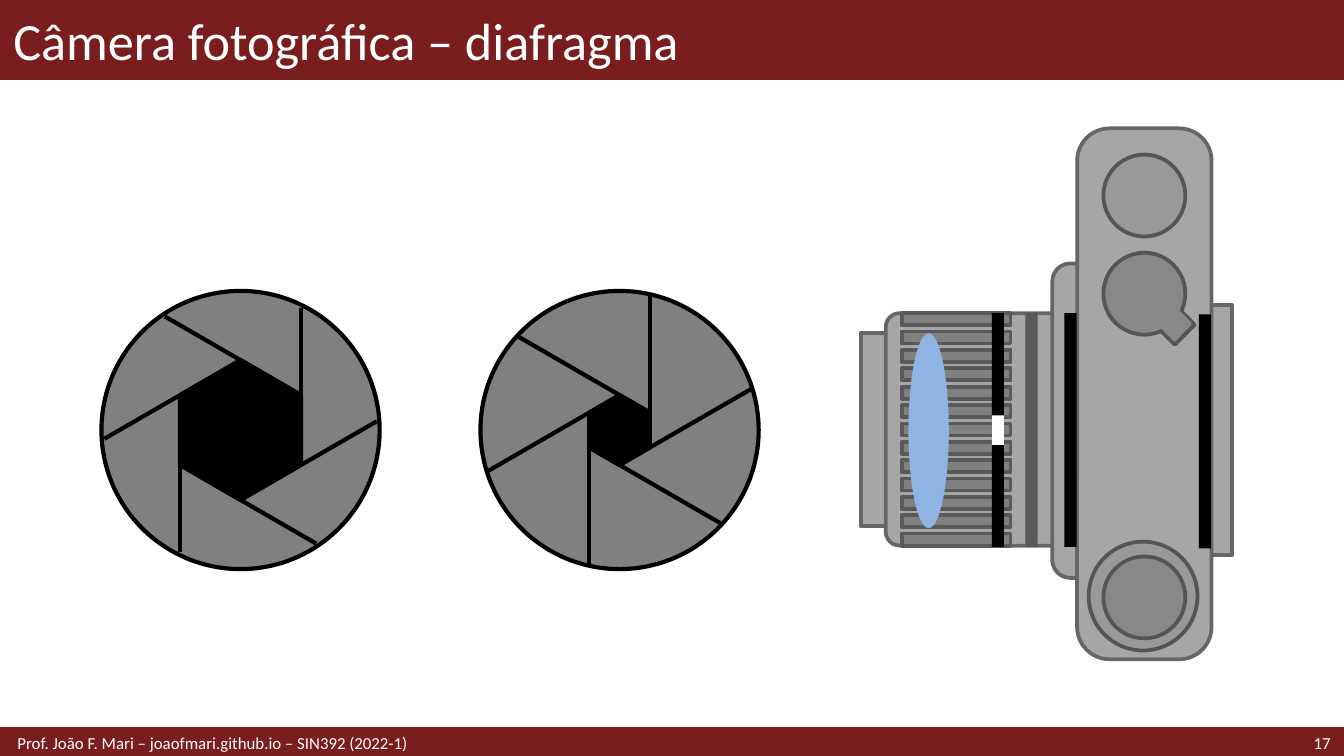
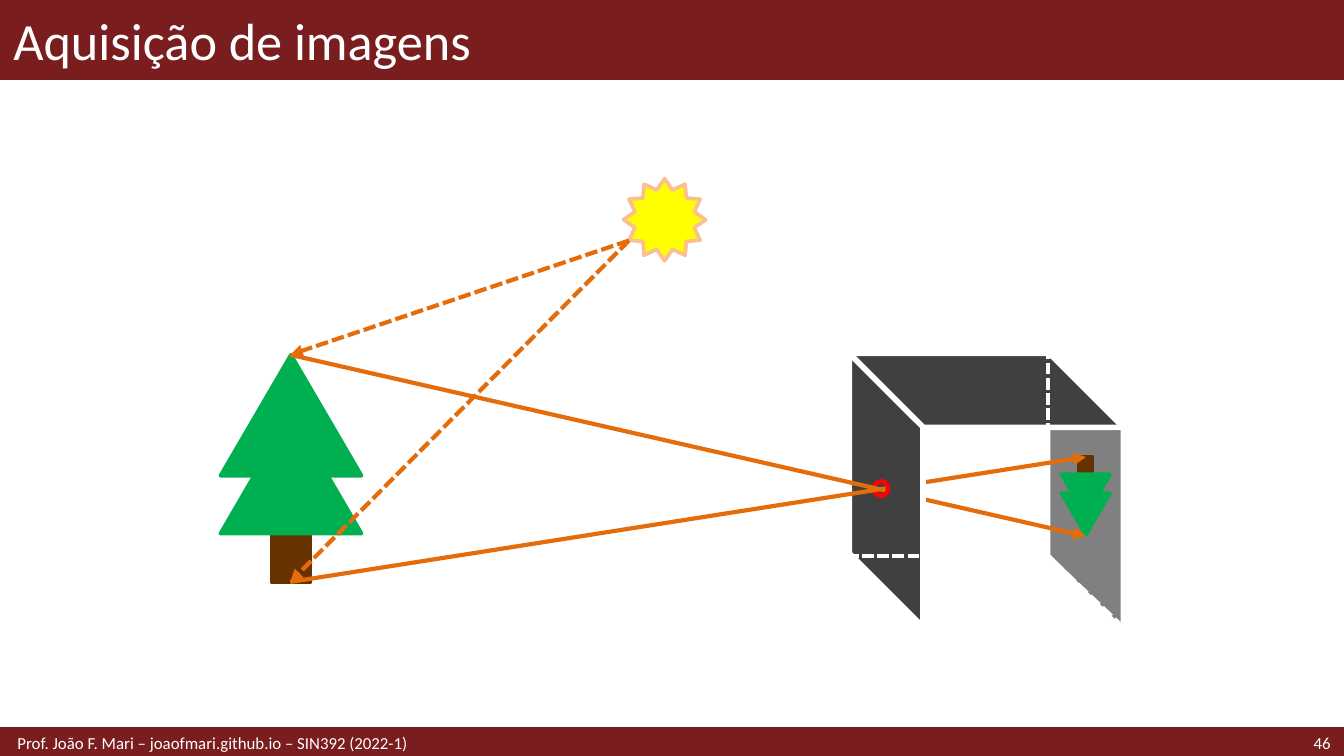
from dataclasses import dataclass
from math import cos, radians, sin, sqrt
from typing import Any

from lxml.etree import SubElement
from pptx import Presentation
from pptx.dml.color import RGBColor
from pptx.enum.dml import MSO_LINE
from pptx.enum.shapes import MSO_CONNECTOR, MSO_SHAPE
from pptx.enum.text import MSO_ANCHOR, MSO_AUTO_SIZE, PP_ALIGN
from pptx.oxml.ns import qn
from pptx.util import Inches, Pt

COLORS = {
    "wine": "791D1F", "white": "FFFFFF", "black": "000000",
    "body": "A6A6A6", "body edge": "666666", "dial": "999999",
    "button": "888888", "dial edge": "555555",
    "gray": "808080", "rib edge": "595959", "glass": "8EB4E3",
    "dark": "404040", "trunk": "663300", "leaf": "00B050", "red": "FF0000",
    "sun": "FFFF00", "sun edge": "FAC090", "ray": "E46C0A",
}
FONT = "Calibri"
WIDTH = 10
HEIGHT = WIDTH * 9 / 16
TITLE_HEIGHT = 0.59
FOOTER_TOP, FOOTER_HEIGHT = 5.42, 0.21
FOOTER = "Prof. João F. Mari – joaofmari.github.io – SIN392 (2022-1)"

RECTANGLE = MSO_SHAPE.RECTANGLE
ROUNDED = MSO_SHAPE.ROUNDED_RECTANGLE
OVAL = MSO_SHAPE.OVAL
TRIANGLE = MSO_SHAPE.ISOSCELES_TRIANGLE
PARALLELOGRAM = MSO_SHAPE.PARALLELOGRAM


@dataclass(frozen=True)
class Part:
    """A preset shape; lengths in inches, frame taken before rotation."""
    kind: MSO_SHAPE
    left: float
    top: float
    width: float
    height: float
    fill: str | None = None
    line: str | None = None
    weight: float = 2
    rotation: float = 0
    adjustments: tuple[float, ...] = ()
    flip: str = ""
    dashed: bool = False


@dataclass(frozen=True)
class Segment:
    start: tuple[float, float]
    end: tuple[float, float]
    color: str
    weight: float = 2.25
    dashed: bool = False
    arrow: bool = False


@dataclass(frozen=True)
class Aperture:
    """A diaphragm: the opening's corner radius and how far its blades reach."""
    center_x: float
    opening: float
    reach: float


def rgb(name: str) -> RGBColor:
    return RGBColor.from_string(COLORS[name])


def set_line(line: Any, color: str, weight: float, dashed: bool) -> None:
    line.color.rgb = rgb(color)
    line.width = Pt(weight)
    if dashed:
        line.dash_style = MSO_LINE.SQUARE_DOT


def draw_part(shapes: Any, part: Part) -> Any:
    frame = (part.left, part.top, part.width, part.height)
    shape = shapes.add_shape(part.kind, *map(Inches, frame))
    shape.shadow.inherit = False
    shape.rotation = part.rotation
    for index, value in enumerate(part.adjustments):
        shape.adjustments[index] = value
    for axis in part.flip:
        shape._element.spPr.xfrm.set(f"flip{axis}", "1")
    if part.fill:
        shape.fill.solid()
        shape.fill.fore_color.rgb = rgb(part.fill)
    else:
        shape.fill.background()
    if part.line:
        set_line(shape.line, part.line, part.weight, part.dashed)
    else:
        shape.line.fill.background()
    return shape


def draw_segment(shapes: Any, segment: Segment) -> None:
    ends = (*segment.start, *segment.end)
    connector = shapes.add_connector(MSO_CONNECTOR.STRAIGHT, *map(Inches, ends))
    set_line(connector.line, segment.color, segment.weight, segment.dashed)
    if segment.arrow:
        SubElement(connector.line._get_or_add_ln(), qn("a:tailEnd"), type="triangle")
    SubElement(connector._element.spPr, qn("a:effectLst"))


def draw_all(shapes: Any, items: list[Part | Segment]) -> None:
    for item in items:
        if isinstance(item, Part):
            draw_part(shapes, item)
        else:
            draw_segment(shapes, item)


def draw_group(slide: Any, items: list[Part | Segment]) -> None:
    draw_all(slide.shapes.add_group_shape().shapes, items)


def write_text(shape: Any, text: str, size: float, align: PP_ALIGN,
               margin_left: float = 0.1) -> None:
    frame = shape.text_frame
    frame.text = text
    frame_format = {
        "word_wrap": True, "auto_size": MSO_AUTO_SIZE.NONE,
        "vertical_anchor": MSO_ANCHOR.MIDDLE, "margin_left": Inches(margin_left),
        "margin_top": 0, "margin_bottom": 0,
    }
    for name, value in frame_format.items():
        setattr(frame, name, value)
    paragraph = frame.paragraphs[0]
    paragraph.alignment = align
    font = paragraph.runs[0].font
    for name, value in {"name": FONT, "size": Pt(size)}.items():
        setattr(font, name, value)
    font.color.rgb = rgb("white")


def add_label(slide: Any, left: float, width: float, text: str,
              align: PP_ALIGN, margin_left: float = 0.1) -> Any:
    frame = (left, FOOTER_TOP, width, FOOTER_HEIGHT)
    box = slide.shapes.add_textbox(*map(Inches, frame))
    write_text(box, text, 9, align, margin_left)
    return box


def furnish_layout(layout: Any, slide: Any) -> None:
    """Build the bands and footer on a slide, then move them to its layout."""
    for placeholder in list(layout.placeholders):
        if placeholder.placeholder_format.idx != 0:
            placeholder._element.getparent().remove(placeholder._element)
    bands = [
        Part(RECTANGLE, 0, 0, WIDTH, TITLE_HEIGHT, "wine", "wine", 1),
        Part(RECTANGLE, 0, FOOTER_TOP, WIDTH, FOOTER_HEIGHT, "wine", "wine"),
    ]
    shared = [draw_part(slide.shapes, band) for band in bands]
    shared.append(add_label(slide, 0, 6.89, FOOTER, PP_ALIGN.LEFT, 0.13))
    for shape in shared:
        layout.shapes._spTree.append(shape._element)


def set_heading(slide: Any, title: str, number: int) -> None:
    shape = slide.shapes.title
    frame = {"left": 0, "top": 0, "width": WIDTH, "height": TITLE_HEIGHT}
    for name, value in frame.items():
        setattr(shape, name, Inches(value))
    write_text(shape, title, 28, PP_ALIGN.LEFT)
    add_label(slide, 8.86, 1.14, str(number), PP_ALIGN.RIGHT)


def camera_parts() -> list[Part]:
    body = {"fill": "body", "line": "body edge", "rotation": 270}
    dial = {"fill": "dial", "line": "dial edge", "rotation": 270}
    button = dial | {"fill": "button"}
    rib_count, first_rib, last_rib = 13, 3.61, 1.97
    rib_step = (last_rib - first_rib) / (rib_count - 1)
    ribs = [
        Part(RECTANGLE, 7.07, first_rib + rib_step * index, 0.09, 0.81,
             "gray", "rib edge", rotation=270)
        for index in range(rib_count)
    ]
    return [
        Part(RECTANGLE, 5.78, 3.1, 1.44, 0.19, **body),
        Part(ROUNDED, 6.62, 2.3, 1.73, 1.79, adjustments=(0.06,), **body),
        Part(RECTANGLE, 7.84, 2.8, 1.86, 0.8, **body),
        Part(ROUNDED, 7.06, 2.73, 2.34, 0.8, **body),
        Part(ROUNDED, 6.54, 2.43, 3.95, 1, adjustments=(0.24,), **body),
        Part(OVAL, 8.21, 1.15, 0.61, 0.61, **dial),
        Part(RECTANGLE, 8.64, 2.32, 0.21, 0.2, "button", "dial edge", rotation=315),
        Part(OVAL, 8.1, 4.03, 0.81, 0.81, **dial),
        Part(OVAL, 8.21, 4.14, 0.61, 0.61, **button),
        Part(OVAL, 8.21, 1.88, 0.61, 0.61, **button),
        Part(RECTANGLE, 8.63, 2.29, 0.19, 0.21, "button", rotation=315),
        *ribs,
        Part(RECTANGLE, 7.63, 2.33, 0.09, 1.74, "rib edge"),
        Part(OVAL, 6.76, 2.48, 0.3, 1.45, "glass"),
        Part(RECTANGLE, 7.92, 2.33, 0.09, 1.74, "black"),
        Part(RECTANGLE, 7.38, 2.33, 0.09, 1.74, "black"),
        Part(RECTANGLE, 7.38, 3.09, 0.09, 0.22, "white"),
    ]


def aperture_parts(aperture: Aperture) -> list[Part | Segment]:
    center_y, diameter = 3.2, 2.07
    radius = diameter / 2
    opening, center_x = aperture.opening, aperture.center_x
    apothem = opening * sqrt(3) / 2

    def turned(x: float, y: float, degrees: float) -> tuple[float, float]:
        cosine, sine = cos(radians(degrees)), sin(radians(degrees))
        return center_x + x * cosine + y * sine, center_y - x * sine + y * cosine

    blades = [
        Segment(turned(apothem, opening / 2, degrees),
                turned(apothem, -aperture.reach, degrees), "black")
        for degrees in range(0, 360, 60)
    ]
    return [
        Part(OVAL, center_x - radius, center_y - radius, diameter, diameter,
             "gray", "black", 2.25),
        Part(MSO_SHAPE.HEXAGON, center_x - opening, center_y - apothem,
             2 * opening, 2 * apothem, "black", "black", 2.25, 90, (0.29,)),
        *blades,
    ]


def tree_parts(trunk: tuple[float, ...], crown: tuple[float, float],
               left: float, tops: tuple[float, float], flip: str = "") -> list[Part]:
    return [
        Part(RECTANGLE, *trunk, "trunk", "trunk", flip=flip),
        *(Part(TRIANGLE, left, top, *crown, "leaf", "leaf", flip=flip) for top in tops),
    ]


def draw_diaphragm_slide(slide: Any) -> None:
    draw_group(slide, camera_parts())
    draw_part(slide.shapes, Part(RECTANGLE, 8.92, 2.34, 0.09, 1.74, "black"))
    for aperture in (Aperture(1.79, 0.52, 0.91), Aperture(4.61, 0.26, 1)):
        draw_group(slide, aperture_parts(aperture))


def draw_acquisition_slide(slide: Any) -> None:
    side = (2.04, 0.55)
    slanted = {"adjustments": (1,)}
    sun_edge, treetop, tree_base = (4.68, 1.79), (2.16, 2.64), (2.16, 4.33)
    rays = [
        Segment(start, end, "ray", dashed=start == sun_edge, arrow=True)
        for start, end in (
            (sun_edge, treetop), (sun_edge, tree_base),
            (treetop, (8.08, 3.99)), (tree_base, (8.08, 3.4)),
        )
    ]
    pinhole = (6.5, 3.58, 0.11, 0.11)

    draw_all(slide.shapes, [
        Part(PARALLELOGRAM, 7.07, 3.38, *side, "gray", rotation=90, **slanted),
        Part(PARALLELOGRAM, 5.57, 3.38, *side, "dark", rotation=90, **slanted),
        Part(PARALLELOGRAM, 6.31, 2.63, *side, "dark", flip="H", **slanted),
    ])
    draw_group(slide, tree_parts((8.03, 3.4, 0.1, 0.17), (0.36, 0.31), 7.9,
                                 (3.67, 3.53), flip="HV"))
    draw_all(slide.shapes, [
        Part(RECTANGLE, 6.32, 2.63, 1.48, 1.51, line="white", dashed=True),
        Segment((8.36, 4.67), (7.8, 4.14), "white", dashed=True),
    ])
    draw_group(slide, tree_parts((2.02, 3.83, 0.29, 0.5), (1.05, 0.9), 1.64,
                                 (2.64, 3.07)))
    draw_all(slide.shapes, [
        Part(MSO_SHAPE.CUBE, 6.32, 2.63, 2.04, 2.04, line="white", weight=3,
             adjustments=(0.27,), flip="H"),
        Part(OVAL, *pinhole, line="red", weight=2.25),
        Part(MSO_SHAPE.STAR_12_POINT, 4.64, 1.33, 0.61, 0.61, "sun", "sun edge"),
        *rays,
        Part(RECTANGLE, 6.59, 3.24, 0.27, 0.84, "dark"),
        Segment((6.87, 3.18), (6.87, 4.67), "white", 3),
        Part(MSO_SHAPE.ARC, *pinhole, line="red", weight=2.25,
             adjustments=(162.74, 52.87)),
    ])


def main() -> None:
    presentation = Presentation()
    presentation.slide_width = Inches(WIDTH)
    presentation.slide_height = Inches(HEIGHT)
    layout = presentation.slide_layouts.get_by_name("Title Only")
    diaphragm, acquisition = (presentation.slides.add_slide(layout) for _ in range(2))
    furnish_layout(layout, diaphragm)
    set_heading(diaphragm, "Câmera fotográfica – diafragma", 17)
    draw_diaphragm_slide(diaphragm)
    set_heading(acquisition, "Aquisição de imagens", 46)
    draw_acquisition_slide(acquisition)
    presentation.save("out.pptx")


if __name__ == "__main__":
    main()
